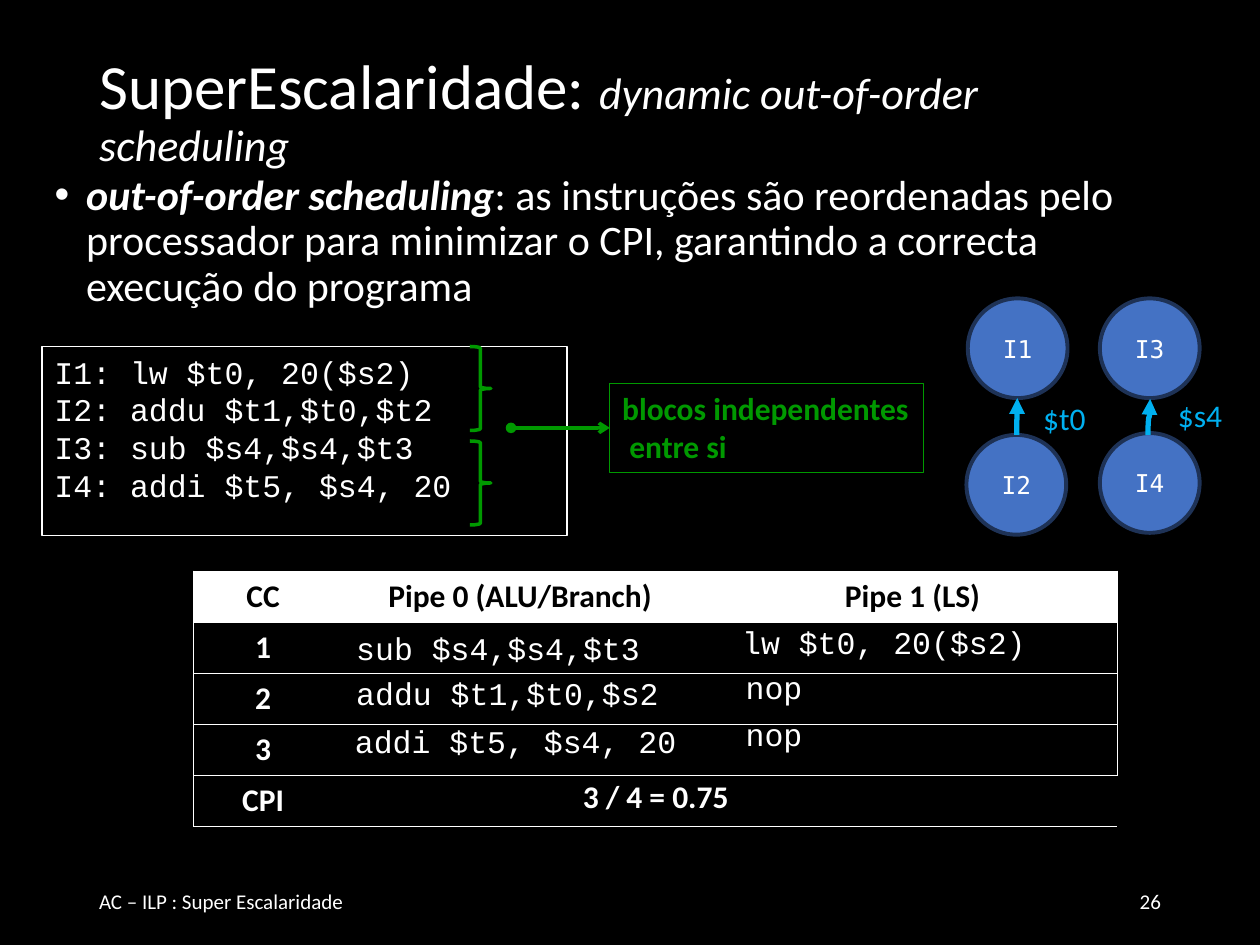
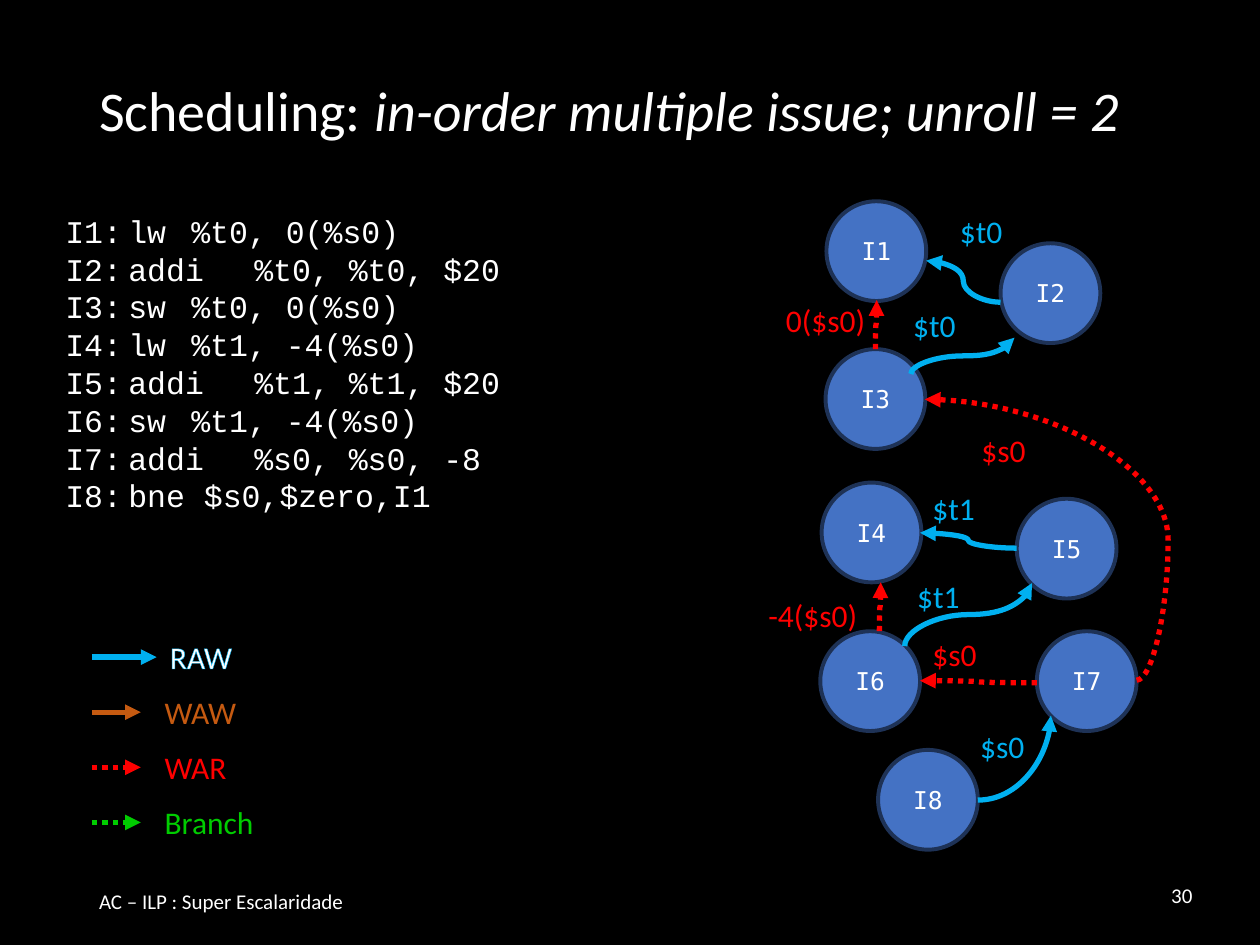
from pptx import Presentation
from pptx.dml.color import RGBColor
from pptx.enum.dml import MSO_LINE
from pptx.enum.shapes import MSO_CONNECTOR, MSO_SHAPE
from pptx.enum.text import MSO_ANCHOR, MSO_AUTO_SIZE, PP_ALIGN
from pptx.oxml.ns import qn
from pptx.util import Pt
from lxml.etree import SubElement, Element

BLACK = RGBColor(0x00, 0x00, 0x00)
WHITE = RGBColor(0xFF, 0xFF, 0xFF)
NODE_FILL = RGBColor(0x44, 0x72, 0xC4)
NODE_LINE = RGBColor(0x1E, 0x32, 0x56)
RAW_BLUE = RGBColor(0x00, 0xB0, 0xF0)
WAW_ORANGE = RGBColor(0xC5, 0x5A, 0x11)
WAR_RED = RGBColor(0xFF, 0x00, 0x00)
BRANCH_GREEN = RGBColor(0x00, 0xCC, 0x00)
BLOCK_GREEN = RGBColor(0x00, 0x99, 0x00)

SANS, CODE, NODE_FONT = "Calibri", "Courier New", "DejaVu Sans Mono"
NODE_SIZE = 57
FOOTER = "AC – ILP : Super Escalaridade"


def points(*values):
    return [Pt(value) for value in values]


def style_font(font, size, color=WHITE, name=SANS, bold=None):
    font.name, font.size, font.bold = name, Pt(size), bold
    font.color.rgb = color


def write_lines(frame, lines, size=18, color=WHITE, name=SANS, bold=None,
                align=PP_ALIGN.LEFT, tabs=()):
    for index, line in enumerate(lines):
        paragraph = frame.paragraphs[0] if index == 0 else frame.add_paragraph()
        paragraph.text = line
        paragraph.alignment = align
        if tabs:
            tab_list = SubElement(paragraph._p.get_or_add_pPr(), qn("a:tabLst"))
            for stop in tabs:
                SubElement(tab_list, qn("a:tab"), pos=str(Pt(stop)), algn="l")
        style_font(paragraph.font, size, color, name, bold)


def add_text(slide, box, lines, grow=True, anchor=MSO_ANCHOR.TOP, **style):
    """Add a text box that either grows around its lines or wraps in its box."""
    shape = slide.shapes.add_textbox(*points(*box))
    frame = shape.text_frame
    frame.word_wrap = not grow
    frame.auto_size = MSO_AUTO_SIZE.SHAPE_TO_FIT_TEXT if grow else MSO_AUTO_SIZE.NONE
    frame.vertical_anchor = anchor
    write_lines(frame, lines, **style)
    return shape


def outline(shape, color, width):
    shape.line.color.rgb = color
    shape.line.width = Pt(width)


def style_line(connector, color, width, head=None, tail="triangle", dotted=False):
    outline(connector, color, width)
    if dotted:
        connector.line.dash_style = MSO_LINE.ROUND_DOT
    line = connector.line._ln
    if head:
        SubElement(line, qn("a:headEnd"), type=head)
    SubElement(line, qn("a:tailEnd"), type=tail)
    SubElement(connector._element.spPr, qn("a:effectLst"))


def add_curve(slide, start, end, color, route="horizontal", dotted=False):
    """Draw a curved arrow; route is horizontal, vertical, corner or loop."""
    (x1, y1), (x2, y2) = start, end
    curve = slide.shapes.add_connector(MSO_CONNECTOR.CURVE, *points(x1, y1, x2, y2))
    properties = curve._element.spPr
    geometry = properties.find(qn("a:prstGeom"))
    if route == "vertical":
        # A vertical start is a quarter turn of a box with swapped sides.
        width, height = abs(y2 - y1), abs(x2 - x1)
        curve.left, curve.top, curve.width, curve.height = points(
            (x1 + x2 - width) / 2, (y1 + y2 - height) / 2, width, height)
        frame = properties.find(qn("a:xfrm"))
        frame.set("rot", "5400000")
        frame.set("flipH", str(int(y2 < y1)))
        frame.set("flipV", str(int(x2 > x1)))
    elif route == "corner":
        geometry.set("prst", "curvedConnector2")
    elif route == "loop":
        SubElement(geometry.find(qn("a:avLst")), qn("a:gd"), name="adj1", fmla="val -14900")
    style_line(curve, color, 3, dotted=dotted)


def dependency_graph(slide, left, top, nodes, edges):
    """Draw nodes and labelled dependency arrows from the given corner."""
    for name, (x, y) in nodes.items():
        node = slide.shapes.add_shape(
            MSO_SHAPE.OVAL, *points(left + x, top + y, NODE_SIZE, NODE_SIZE))
        node.shadow.inherit = False
        node.fill.solid()
        node.fill.fore_color.rgb = NODE_FILL
        outline(node, NODE_LINE, 2.25)
        node.text_frame.vertical_anchor = MSO_ANCHOR.MIDDLE
        write_lines(node.text_frame, [name], 14, name=NODE_FONT, align=PP_ALIGN.CENTER)
    for start, end, color, route, label, (x, y), width in edges:
        add_curve(slide, (left + start[0], top + start[1]), (left + end[0], top + end[1]),
                  color, route, dotted=color == WAR_RED)
        add_text(slide, (left + x, top + y, width, 29), [label], color=color)


def write_runs(paragraph, parts):
    """Write (text, size, bold, italic) parts in the white sans font."""
    paragraph.line_spacing = 0.9
    paragraph.space_before = Pt(0)
    paragraph.alignment = PP_ALIGN.LEFT
    style_font(paragraph.font, parts[0][1])
    for text, size, bold, italic in parts:
        run = paragraph.add_run()
        run.text = text
        style_font(run.font, size, bold=bold)
        run.font.italic = italic


def fill_placeholder(placeholder, box, anchor, parts):
    placeholder.left, placeholder.top, placeholder.width, placeholder.height = points(*box)
    frame = placeholder.text_frame
    frame.auto_size = MSO_AUTO_SIZE.NONE
    frame.vertical_anchor = anchor
    write_runs(frame.paragraphs[0], parts)


def start_slide(presentation, layout, title_parts, number, number_corner):
    slide = presentation.slides.add_slide(presentation.slide_layouts.get_by_name(layout))
    fill_placeholder(slide.shapes.title, (49.5, 28.75, 621, 71.5),
                     MSO_ANCHOR.MIDDLE, title_parts)
    for corner, text, align in (((49.5, 500.5), FOOTER, PP_ALIGN.LEFT),
                                (number_corner, number, PP_ALIGN.RIGHT)):
        add_text(slide, (*corner, 162, 28.75), [text], grow=False,
                 anchor=MSO_ANCHOR.MIDDLE, size=12, align=align)
    return slide


def code_blocks(slide, left, top):
    """Code listing whose two braces point at a note on independent blocks."""
    code = ["I1: lw $t0, 20($s2)", "I2: addu $t1,$t0,$t2",
            "I3: sub $s4,$s4,$t3", "I4: addi $t5, $s4, 20"]
    listing = add_text(slide, (left, top, 300, 108), code, grow=False, name=CODE)
    outline(listing, WHITE, 0.75)
    for offset in (0, 54):
        brace = slide.shapes.add_shape(
            MSO_SHAPE.RIGHT_BRACE, *points(left + 244.5, top + offset, 12, 48))
        brace.shadow.inherit = False
        brace.fill.background()
        outline(brace, BLOCK_GREEN, 2)
    middle = top + 46.5
    arrow = slide.shapes.add_connector(
        MSO_CONNECTOR.STRAIGHT, *points(left + 268, middle, left + 324.5, middle))
    style_line(arrow, BLOCK_GREEN, 2, head="oval", tail="arrow")
    note = add_text(slide, (left + 324.5, top + 21, 179.25, 51),
                    ["blocos independentes", " entre si"], color=BLOCK_GREEN, bold=True)
    outline(note, BLOCK_GREEN, 0.75)


def set_borders(cell, visible):
    """Give the sides in visible (of L, R, T, B) a thin white line, the others none."""
    properties = cell._tc.get_or_add_tcPr()
    for index, side in enumerate("LRTB"):
        line = Element(qn(f"a:ln{side}"), w=str(Pt(0.5)))
        if side in visible:
            fill = SubElement(line, qn("a:solidFill"))
            SubElement(fill, qn("a:srgbClr"), val=str(WHITE))
        else:
            SubElement(line, qn("a:noFill"))
        properties.insert(index, line)


def schedule_table(slide, left, top):
    widths, row_height = (79.25, 214.5, 234), 29.25
    header = ("CC", "Pipe 0 (ALU/Branch)", "Pipe 1 (LS)")
    rows = [header] + [(name, "", "") for name in ("1", "2", "3", "CPI")]
    table = slide.shapes.add_table(
        len(rows), len(widths),
        *points(left, top, sum(widths), row_height * len(rows))).table
    table.first_row = table.horz_banding = False
    for column, width in zip(table.columns, widths):
        column.width = Pt(width)
    for r, row in enumerate(rows):
        table.rows[r].height = Pt(row_height)
        for c, text in enumerate(row):
            cell = table.cell(r, c)
            if r == 0:
                cell.fill.solid()
                cell.fill.fore_color.rgb = WHITE
            else:
                cell.fill.background()
            set_borders(cell, "TB" + ("L", "", "R")[c])
            if text:
                write_lines(cell.text_frame, [text], color=WHITE if r else BLACK,
                            bold=True, align=PP_ALIGN.CENTER)
    table.cell(4, 1).merge(table.cell(4, 2))

    for x, y, width, code in ((306.25, 26, 196.5, "lw $t0, 20($s2)"),
                              (85.75, 29.75, 196.5, "sub $s4,$s4,$t3"),
                              (85.75, 55.5, 208, "addu $t1,$t0,$s2"),
                              (308.25, 52, 51, "nop"),
                              (308.25, 78.5, 51, "nop"),
                              (85, 83, 220.25, "addi $t5, $s4, 20")):
        add_text(slide, (left + x, top + y, width, 31.5), [code], name=CODE)
    add_text(slide, (left + 206, top + 114, 116, 31.5), ["3 / 4 = 0.75"],
             bold=True, align=PP_ALIGN.CENTER)


def dependency_legend(slide, left, top):
    entries = (("RAW", RAW_BLUE, False, 37, 37.5, 50.5),
               ("WAW", WAW_ORANGE, False, 28, 34.5, 55.5),
               ("WAR", WAR_RED, True, 28, 34.5, 50.5),
               ("Branch", BRANCH_GREEN, True, 28, 34.5, 66))
    for index, (name, color, dotted, length, indent, width) in enumerate(entries):
        middle = top + 14.75 + 31.5 * index
        add_curve(slide, (left, middle), (left + length, middle), color, dotted=dotted)
        outlined = name == "RAW"
        label = add_text(slide, (left + indent, middle - 14.75, width, 29), [name],
                         color=WHITE if outlined else color)
        if outlined:
            run = label.text_frame.paragraphs[0].runs[0]
            line = SubElement(run._r.get_or_add_rPr(), qn("a:ln"), w=str(Pt(0.75)))
            fill = SubElement(line, qn("a:solidFill"))
            SubElement(fill, qn("a:srgbClr"), val=str(color))


def out_of_order_slide(presentation):
    slide = start_slide(presentation, "Title and Content",
                        [("SuperEscalaridade: ", 36, None, None),
                         ("dynamic out-of-order scheduling", 25.2, None, True)],
                        "26", (508.5, 500.5))
    body = slide.placeholders[1]
    properties = body.text_frame.paragraphs[0]._p.get_or_add_pPr()
    properties.set("marL", str(Pt(18)))
    properties.set("indent", str(Pt(-18)))
    fill_placeholder(body, (24, 96, 672, 96), MSO_ANCHOR.TOP, [
        ("out-of-order scheduling", 24, True, True),
        (": as instruções são reordenadas pelo processador para minimizar o CPI, "
         "garantindo a correcta execução do programa", 24, False, False)])
    code_blocks(slide, 24, 198)
    schedule_table(slide, 110.75, 326.25)
    dependency_graph(
        slide, 552, 170,
        {"I1": (1, 0.5), "I3": (76.5, 0.5), "I2": (0.25, 78.5), "I4": (76.5, 77.5)},
        [((29, 78.5), (29.25, 57.5), RAW_BLUE, "vertical", "$t0", (37, 54.5), 39),
         ((104, 78.5), (105.25, 58), RAW_BLUE, "vertical", "$s4", (114, 52.5), 40.25)])


def unrolled_loop_slide(presentation):
    slide = start_slide(presentation, "Title Only",
                        [("Scheduling: ", 32, None, None),
                         ("in-order multiple issue; unroll = 2", 32, None, True)],
                        "30", (526.5, 497))
    code = ["I1:\tlw \t%t0, 0(%s0)", "I2:\taddi\t%t0, %t0, $20", "I3:\tsw\t%t0, 0(%s0)",
            "I4:\tlw \t%t1, -4(%s0)", "I5:\taddi\t%t1, %t1, $20", "I6:\tsw\t%t1, -4(%s0)",
            "I7:\taddi\t%s0, %s0, -8", "I8:\tbne $s0,$zero,I1"]
    add_text(slide, (30.25, 117.5, 265, 181.5), code, name=CODE, tabs=(36, 72, 108))
    dependency_legend(slide, 52.5, 360.75)
    dependency_graph(
        slide, 432, 115,
        {"I1": (40.25, 0), "I2": (139.75, 24), "I3": (39.75, 84.5), "I4": (37.5, 160.75),
         "I5": (149, 170), "I6": (36.75, 245.75), "I7": (160.5, 245.75),
         "I8": (69.75, 313.5)},
        [((139.75, 57.75), (97.25, 34), RAW_BLUE, "horizontal", "$t0", (109.5, 2.5), 39),
         ((68.25, 84.5), (69, 56.5), WAR_RED, "vertical", "0($s0)", (10, 53.5), 60.5),
         ((88.5, 98.75), (147.75, 78), RAW_BLUE, "vertical", "$t0", (82.75, 56.25), 39),
         ((149, 198.25), (93.75, 189.5), RAW_BLUE, "horizontal", "$t1", (93.75, 160.75), 39),
         ((70.5, 245.75), (71.25, 217.75), WAR_RED, "vertical", "-4($s0)", (0, 222), 66),
         ((85, 254.25), (157.75, 218.25), RAW_BLUE, "vertical", "$t1", (85, 211), 39),
         ((160.5, 275.25), (93.75, 274), WAR_RED, "horizontal", "$s0", (93.75, 244.25), 40.25),
         ((126.75, 342.25), (168.5, 294), RAW_BLUE, "corner", "$s0", (121, 296.75), 40.25),
         ((217.5, 273.75), (96.5, 113.25), WAR_RED, "loop", "$s0", (121.75, 127.75), 40.25)])


def main():
    presentation = Presentation()
    presentation.slide_width, presentation.slide_height = points(720, 540)
    background = presentation.slide_master.background.fill
    background.solid()
    background.fore_color.rgb = BLACK
    out_of_order_slide(presentation)
    unrolled_loop_slide(presentation)
    presentation.save("out.pptx")


if __name__ == "__main__":
    main()
